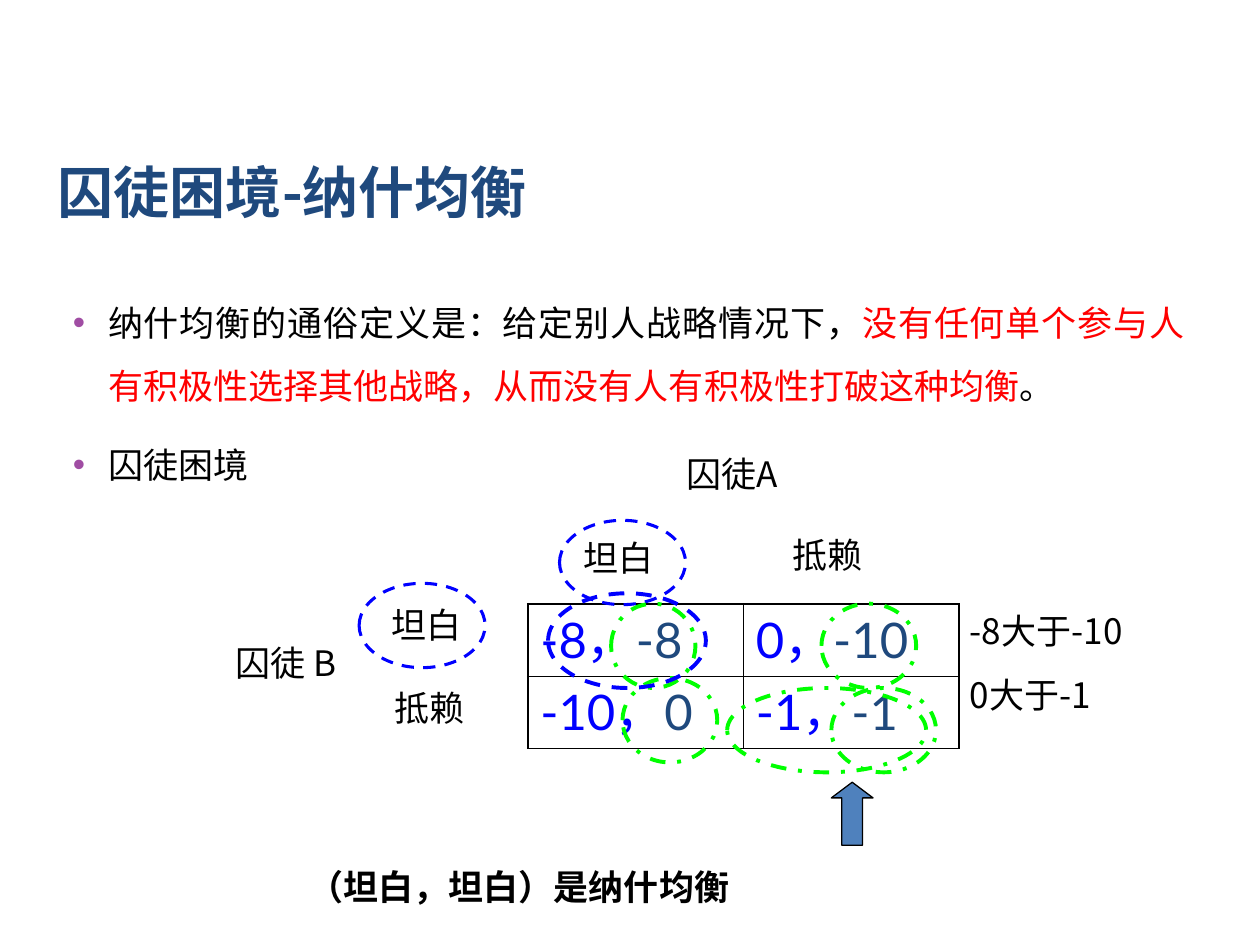
from typing import NamedTuple

from lxml import etree
from pptx import Presentation
from pptx import util as u
from pptx.dml.color import RGBColor
from pptx.enum import dml, shapes, text
from pptx.oxml import ns

BLACK = RGBColor(0x00, 0x00, 0x00)
RED = RGBColor(0xFF, 0x00, 0x00)
BLUE = RGBColor(0x00, 0x00, 0xFF)
GREEN = RGBColor(0x00, 0xFF, 0x00)
NAVY = RGBColor(0x1F, 0x49, 0x7D)
STEEL = RGBColor(0x4F, 0x81, 0xBD)
BULLET_COLOR = "A04DA3"
CJK_FONT = "Noto Sans CJK SC"
TABLE_FONT = "Lato"
LABEL_HEIGHT = 1.12
OVAL_HEIGHT = 1.7


class Box(NamedTuple):
    """Left, top, width and height in centimetres."""
    left: float
    top: float
    width: float
    height: float

    def lengths(self):
        return [u.Cm(value) for value in self]


class Piece(NamedTuple):
    text: str
    color: RGBColor = BLACK


class Label(NamedTuple):
    lines: list[str]
    box: Box
    align: text.PP_ALIGN = text.PP_ALIGN.LEFT
    bold: bool = False


class Oval(NamedTuple):
    box: Box
    color: RGBColor
    width: float = 2.25


BULLETS = [
    [Piece("纳什均衡的通俗定义是：给定别人战略情况下，"),
     Piece("没有任何单个参与人有积极性选择其他战略，从而没有人有积极性打破这种均衡", RED),
     Piece("。")],
    [Piece("囚徒困境")],
]
PAYOFFS = [[("-8", "-8"), ("0", "-10")],
           [("-10", "0"), ("-1", "-1")]]
LABELS = [
    Label(["囚徒A"], Box(12.95, 8.99, 3.61, LABEL_HEIGHT), text.PP_ALIGN.CENTER),
    Label(["囚徒 B"], Box(4.5, 12.8, 3.38, LABEL_HEIGHT)),
    Label(["坦白"], Box(7.65, 12.04, 2.54, LABEL_HEIGHT)),
    Label(["抵赖"], Box(7.7, 13.72, 2.97, LABEL_HEIGHT)),
    Label(["坦白"], Box(11.51, 10.69, 4.01, LABEL_HEIGHT)),
    Label(["抵赖"], Box(15.72, 10.64, 4.24, LABEL_HEIGHT)),
    Label(["-8大于-10", "0大于-1"], Box(19.3, 12.17, 4.24, 2.39)),
    Label(["（坦白，坦白）是纳什均衡"], Box(5.97, 17.32, 14.81, LABEL_HEIGHT), bold=True),
]
OVALS = [
    Oval(Box(7.24, 11.76, 2.54, OVAL_HEIGHT), BLUE, 1.75),
    Oval(Box(11.28, 10.49, 2.54, OVAL_HEIGHT), BLUE, 1.75),
    Oval(Box(14.66, 13.87, 4.01, OVAL_HEIGHT), GREEN),
    Oval(Box(12.32, 12.17, 1.7, OVAL_HEIGHT), GREEN),
    Oval(Box(16.76, 13.87, 2.11, OVAL_HEIGHT), GREEN),
    Oval(Box(12.55, 13.67, 1.91, OVAL_HEIGHT), GREEN),
    Oval(Box(16.56, 12.17, 1.91, OVAL_HEIGHT), GREEN),
    Oval(Box(11.05, 11.96, 3.18, 1.91), BLUE),
]


def add_element(parent, tag: str, **attributes):
    return etree.SubElement(parent, ns.qn(tag), attributes)


def add_run(paragraph, piece: Piece, size: float, font: str = CJK_FONT, bold: bool = False):
    run = paragraph.add_run()
    run.text = piece.text
    run.font.size = u.Pt(size)
    run.font.bold = bold
    run.font.color.rgb = piece.color
    run.font.name = font
    add_element(run.font._element, "a:ea", typeface=font)


def place_title(slide):
    title = slide.shapes.title
    title.left, title.top, title.width, title.height = Box(0.91, 2.74, 22.86, 2.24).lengths()
    title.text_frame.vertical_anchor = text.MSO_ANCHOR.MIDDLE
    paragraph = title.text_frame.paragraphs[0]
    paragraph.alignment = text.PP_ALIGN.JUSTIFY
    add_run(paragraph, Piece("囚徒困境-纳什均衡", NAVY), 32, bold=True)


def add_text_frame(slide, box: Box):
    frame = slide.shapes.add_textbox(*box.lengths()).text_frame
    frame.word_wrap = True
    return frame


def paragraph_at(frame, index: int, space_before: float):
    """Return the first paragraph, or a new one set apart from the one above."""
    if index == 0:
        return frame.paragraphs[0]
    paragraph = frame.add_paragraph()
    paragraph.space_before = u.Pt(space_before)
    return paragraph


def add_bullets(slide):
    frame = add_text_frame(slide, Box(0.91, 5.54, 23.22, 13))
    for index, pieces in enumerate(BULLETS):
        paragraph = paragraph_at(frame, index, 3)
        paragraph.alignment = text.PP_ALIGN.JUSTIFY
        paragraph.line_spacing = 1.5
        paragraph.space_after = u.Pt(6)
        properties = paragraph._p.get_or_add_pPr()
        properties.set("marL", str(u.Cm(1.02)))
        properties.set("indent", str(u.Cm(-0.71)))
        color = add_element(properties, "a:buClr")
        add_element(color, "a:srgbClr", val=BULLET_COLOR)
        add_element(properties, "a:buFont", typeface="Arial")
        add_element(properties, "a:buChar", char="•")
        for piece in pieces:
            add_run(paragraph, piece, 20)


def add_label(slide, label: Label):
    frame = add_text_frame(slide, label.box)
    for index, line in enumerate(label.lines):
        paragraph = paragraph_at(frame, index, 12.5)
        paragraph.alignment = label.align
        add_run(paragraph, Piece(line), 20, bold=label.bold)


def set_borders(cell, outer: dict[str, bool]):
    """Draw a thick line on outer edges and a thin one on inner edges."""
    properties = cell._tc.get_or_add_tcPr()
    for side, is_outer in outer.items():
        width = u.Pt(1.08 if is_outer else 0.45)
        line = add_element(properties, f"a:ln{side}", w=str(width))
        fill = add_element(line, "a:solidFill")
        add_element(fill, "a:srgbClr", val=str(BLACK))


def add_payoff_table(slide):
    frame = slide.shapes.add_table(2, 2, *Box(10.64, 12.17, 8.69, 2.92).lengths())
    table = frame.table
    table.first_row = table.horz_banding = False
    for row_index, row in enumerate(PAYOFFS):
        for column_index, (payoff_b, payoff_a) in enumerate(row):
            cell = table.cell(row_index, column_index)
            set_borders(cell, {"L": column_index == 0, "R": column_index == 1,
                               "T": row_index == 0, "B": row_index == 1})
            cell.fill.background()
            paragraph = cell.text_frame.paragraphs[0]
            add_run(paragraph, Piece(f"{payoff_b}，", BLUE), 28, TABLE_FONT)
            add_run(paragraph, Piece(payoff_a, NAVY), 28, TABLE_FONT)


def add_oval(slide, oval: Oval):
    shape = slide.shapes.add_shape(shapes.MSO_SHAPE.OVAL, *oval.box.lengths())
    shape.shadow.inherit = False
    shape.fill.background()
    shape.line.color.rgb = oval.color
    shape.line.width = u.Pt(oval.width)
    styles = dml.MSO_LINE
    shape.line.dash_style = styles.DASH if oval.color == BLUE else styles.DASH_DOT


def add_up_arrow(slide):
    arrow = slide.shapes.add_shape(shapes.MSO_SHAPE.UP_ARROW,
                                   *Box(16.76, 15.77, 0.84, 1.27).lengths())
    arrow.adjustments[0], arrow.adjustments[1] = 0.5, 0.375
    arrow.shadow.inherit = False
    arrow.fill.solid()
    arrow.fill.fore_color.rgb = STEEL
    arrow.line.color.rgb = BLACK
    arrow.line.width = u.Pt(0.75)


def main():
    presentation = Presentation()
    presentation.slide_width, presentation.slide_height = u.Cm(25.4), u.Cm(19.05)
    slide = presentation.slides.add_slide(presentation.slide_layouts[5])
    place_title(slide)
    add_bullets(slide)
    add_payoff_table(slide)
    for label in LABELS:
        add_label(slide, label)
    for oval in OVALS:
        add_oval(slide, oval)
    add_up_arrow(slide)
    presentation.save("out.pptx")


if __name__ == "__main__":
    main()
